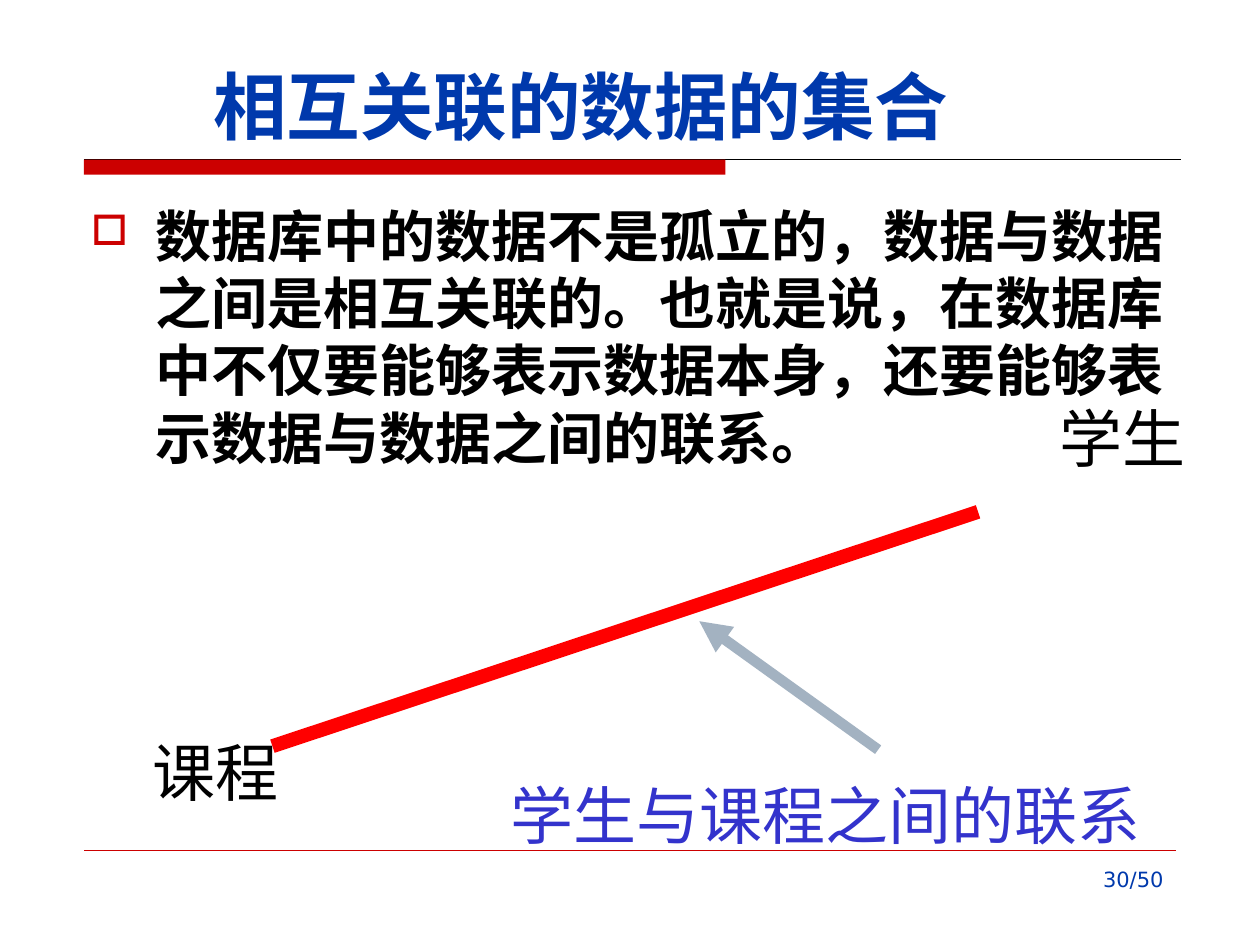
from dataclasses import dataclass

from lxml import etree
from pptx import Presentation
from pptx import util as u
from pptx.dml import color as dml
from pptx.enum import shapes, text
from pptx.oxml import ns

COLORS = {
    "bar": "CC0000",
    "rule": "000000",
    "title": "0039AC",
    "body": "000000",
    "link": "FF0000",
    "pointer": "A3B2C1",
    "relation": "3333CC",
}
CJK = "Noto Sans CJK SC"
LATIN = "DejaVu Sans"
ALIGN = text.PP_ALIGN


@dataclass(frozen=True)
class Line:
    start: tuple[float, float]
    end: tuple[float, float]
    color: str
    width: float
    arrow: bool = False


@dataclass(frozen=True)
class Label:
    words: str
    area: tuple[float, float, float, float]
    color: str


LINES = (
    Line((48.2, 91.2), (674.6, 91.2), "rule", 0.25),
    Line((48.2, 486), (671.8, 486), "bar", 0.25),
    Line((558.9, 292.5), (155.7, 426.4), "link", 8),
    Line((501.8, 428.4), (399.6, 355), "pointer", 6, arrow=True),
)
LABELS = (
    Label("学生", (591.5, 224.6, 100, 54), "body"),
    Label("课程", (73, 415.4, 100, 54), "body"),
    Label("学生与课程之间的联系", (271.6, 439.9, 400, 54), "relation"),
)


def rgb(name: str) -> dml.RGBColor:
    return dml.RGBColor.from_string(COLORS[name])


def draw_line(page, line: Line) -> None:
    connector = page.shapes.add_connector(
        shapes.MSO_CONNECTOR.STRAIGHT, *map(u.Pt, line.start + line.end)
    )
    connector.line.color.rgb = rgb(line.color)
    connector.line.width = u.Pt(line.width)
    if line.arrow:
        outline = connector.line._get_or_add_ln()
        etree.SubElement(outline, ns.qn("a:tailEnd"), type="triangle")
    etree.SubElement(connector._element.spPr, ns.qn("a:effectLst"))


def add_text(page, words: str, area: tuple, *, size: float, color: str,
             font: str = CJK, bold: bool = False, align=ALIGN.CENTER,
             anchor=text.MSO_ANCHOR.TOP, wrap: bool = True):
    box = page.shapes.add_textbox(*map(u.Pt, area))
    frame = box.text_frame
    frame.word_wrap = wrap
    frame.vertical_anchor = anchor
    para = frame.paragraphs[0]
    para.alignment = align
    span = para.add_run()
    span.text = words
    span.font.size = u.Pt(size)
    span.font.bold = bold
    span.font.name = font
    span.font.color.rgb = rgb(color)
    etree.SubElement(span.font._element, ns.qn("a:ea"), typeface=font)
    return para


def add_bullet(para, mark: str, color: str, indent: float) -> None:
    properties = para._p.get_or_add_pPr()
    properties.set("marL", str(u.Pt(indent)))
    properties.set("indent", str(-u.Pt(indent)))
    tint = etree.SubElement(properties, ns.qn("a:buClr"))
    etree.SubElement(tint, ns.qn("a:srgbClr"), val=COLORS[color])
    etree.SubElement(properties, ns.qn("a:buSzPct"), val="75000")
    etree.SubElement(properties, ns.qn("a:buFont"), typeface="Wingdings", charset="2")
    etree.SubElement(properties, ns.qn("a:buChar"), char=mark)


def add_bar(page, area: tuple, color: str) -> None:
    bar = page.shapes.add_shape(shapes.MSO_SHAPE.RECTANGLE, *map(u.Pt, area))
    bar.shadow.inherit = False
    bar.fill.solid()
    bar.fill.fore_color.rgb = rgb(color)
    bar.line.fill.background()


def main() -> None:
    """Build the slide on related data and save it."""
    deck = Presentation()
    deck.slide_width, deck.slide_height = u.Pt(720), u.Pt(540)
    page = deck.slides.add_slide(deck.slide_layouts[6])

    for line in LINES:
        draw_line(page, line)
    add_bar(page, (48, 91.2, 366.5, 8.6), "bar")

    add_text(page, "相互关联的数据的集合", (28.1, 23.8, 607.7, 64.8), size=42,
             color="title", bold=True, anchor=text.MSO_ANCHOR.BOTTOM)
    body = add_text(
        page,
        "数据库中的数据不是孤立的，数据与数据之间是相互关联的。"
        "也就是说，在数据库中不仅要能够表示数据本身，"
        "还要能够表示数据与数据之间的联系。",
        (44.9, 111.6, 630, 368.6), size=32, color="body", bold=True,
        align=ALIGN.LEFT,
    )
    add_bullet(body, "o", "bar", 36.9)

    for label in LABELS:
        add_text(page, label.words, label.area, size=36, color=label.color,
                 wrap=False)
    add_text(page, "30/50", (515.8, 491.8, 156.2, 37.4), size=12, color="title",
             font=LATIN, align=ALIGN.RIGHT)

    deck.save("out.pptx")


if __name__ == "__main__":
    main()
